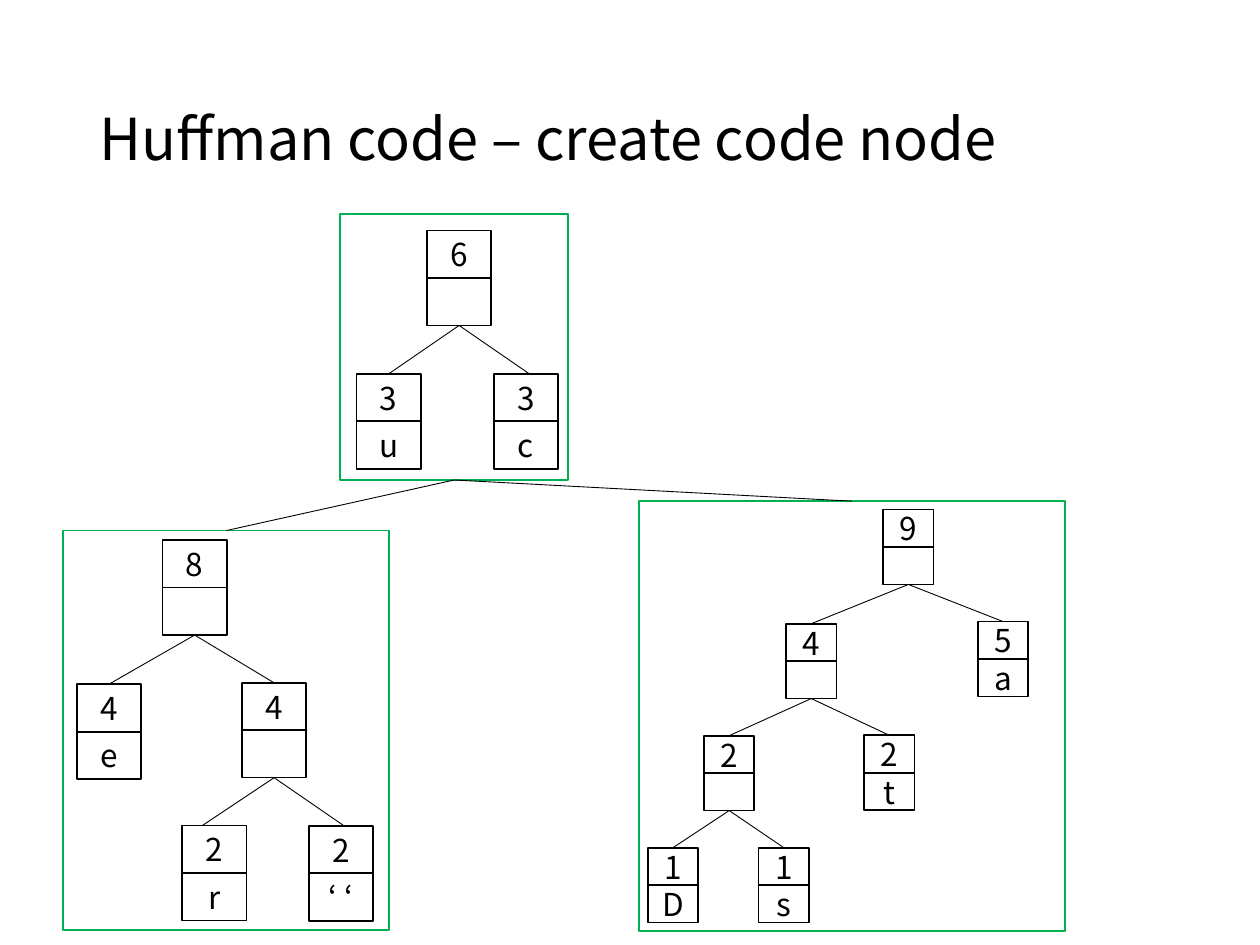
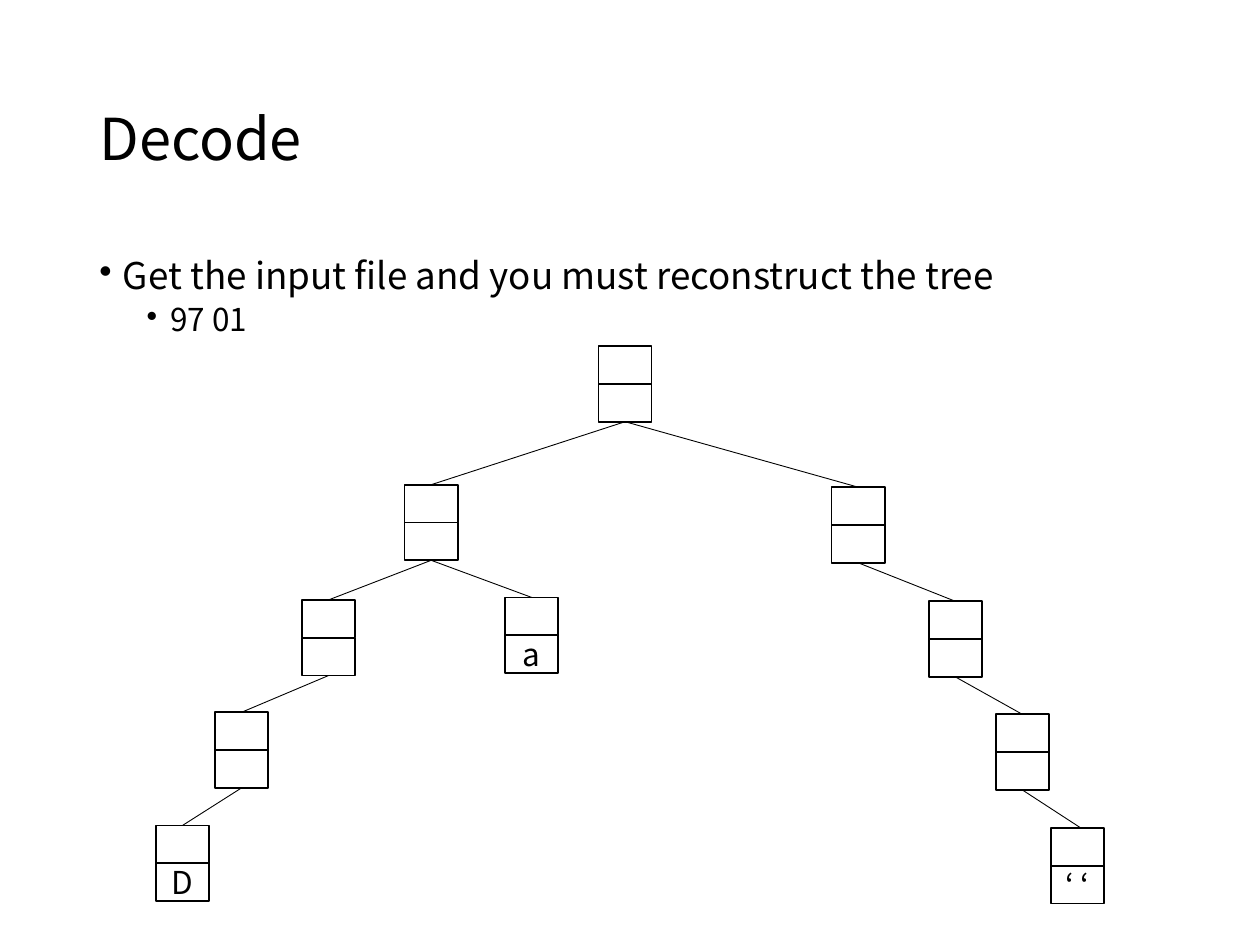
import dataclasses

import lxml.etree
import pptx
import pptx.dml.color
import pptx.enum.shapes
import pptx.enum.text
import pptx.oxml.ns
import pptx.util

Pt = pptx.util.Pt
CENTER = pptx.enum.text.PP_ALIGN.CENTER
MIDDLE = pptx.enum.text.MSO_ANCHOR.MIDDLE
RECTANGLE = pptx.enum.shapes.MSO_SHAPE.RECTANGLE
STRAIGHT = pptx.enum.shapes.MSO_CONNECTOR.STRAIGHT


@dataclasses.dataclass
class Node:
    """Tree node: left, top, upper cell, lower cell; entry shifts the incoming edge."""
    left: float
    top: float
    weight: str = ""
    symbol: str = ""
    children: tuple = ()
    entry: float = 0


# Content
CODE_TITLE = "Huffman code – create code node"
DECODE_TITLE = "Decode"
DECODE_BULLETS = [(0, "Get the input file and you must reconstruct the tree"), (1, "97 01")]

# Each entry: frame (left, top, width, height), cell (width, height), root.
# The first frame is the parent of the others.
CODE_TREES = [
    ((194.4, 122.4, 130.3, 151.9), (36.7, 27.1), Node(244, 131.8, "6", "", (
        Node(203.7, 213.7, "3", "u"),
        Node(282.2, 213.7, "3", "c", entry=2),
    ))),
    ((36, 303.2, 186.5, 228.2), (36.7, 27.1), Node(92.9, 308.7, "8", "", (
        Node(43.9, 391, "4", "e"),
        Node(138.3, 390.2, "4", "", (
            Node(104.2, 471.8, "2", "r", entry=-7),
            Node(176.4, 472, "2", "‘ ‘", entry=2),
        )),
    ))),
    ((365, 286.4, 243.4, 245.6), (28.8, 21.4), Node(504.7, 291.2, "9", "", (
        Node(449.2, 356.4, "4", "", (
            Node(402.3, 420.4, "2", "", (
                Node(370.2, 484.4, "1", "D"),
                Node(433.5, 484.4, "1", "s"),
            )),
            Node(493.8, 420.2, "2", "t"),
        )),
        Node(558.8, 355.2, "5", "a"),
    ))),
]

DECODE_CELL = (30.4, 21.6)
DECODE_TREE = Node(342, 197.8, children=(
    Node(231.2, 277, children=(
        Node(172.6, 342.8, children=(
            Node(122.9, 407, children=(Node(89.1, 471.7, symbol="D"),)),
        )),
        Node(288.6, 341.4, symbol="a"),
    )),
    Node(475.2, 278.4, children=(
        Node(530.7, 343.6, children=(
            Node(569, 408.2, children=(Node(600.5, 473.2, symbol="‘ ‘", entry=2),)),
        )),
    )),
))


@dataclasses.dataclass(frozen=True)
class Theme:
    font: str = "Noto Sans CJK KR"
    ink: str = "000000"
    paper: str = "FFFFFF"
    frame: str = "00B050"
    title_size: float = 33
    bullet_sizes: tuple = (21, 18)
    cell_size: float = 18
    outline: float = 1
    edge: float = 0.5
    line_spacing: float = 0.9


THEME = Theme()
TITLE_BOX = (49.7, 28.8, 620.6, 104.4)
BODY_BOX = (49.7, 144, 620.6, 342.7)
BULLET_INDENT = 13.5
BULLET_STEP = 27
BULLET_GAP = 3.8


def color(value):
    return pptx.dml.color.RGBColor.from_string(value)


def set_all(target, formats):
    for name, value in formats.items():
        setattr(target, name, value)


def style_font(paragraph, size):
    set_all(paragraph.font, {"name": THEME.font, "size": Pt(size)})
    paragraph.font.color.rgb = color(THEME.ink)


def add_text_box(slide, box):
    frame = slide.shapes.add_textbox(*map(Pt, box)).text_frame
    frame.word_wrap = True
    return frame


def add_title(slide, text):
    frame = add_text_box(slide, TITLE_BOX)
    frame.vertical_anchor = MIDDLE
    paragraph = frame.paragraphs[0]
    set_all(paragraph, {"text": text, "line_spacing": THEME.line_spacing})
    style_font(paragraph, THEME.title_size)


def add_bullets(slide, bullets):
    frame = add_text_box(slide, BODY_BOX)
    for index, (level, text) in enumerate(bullets):
        paragraph = frame.add_paragraph() if index else frame.paragraphs[0]
        set_all(paragraph, {"text": text, "level": level, "line_spacing": THEME.line_spacing,
                            "space_before": Pt(BULLET_GAP if index else 0)})
        properties = paragraph._p.get_or_add_pPr()
        properties.set("marL", str(Pt(BULLET_INDENT + level * BULLET_STEP)))
        properties.set("indent", str(-Pt(BULLET_INDENT)))
        bullet = lxml.etree.SubElement(properties, pptx.oxml.ns.qn("a:buChar"))
        bullet.set("char", "•")
        style_font(paragraph, THEME.bullet_sizes[level])


def add_rectangle(slide, box, line, fill=None):
    shape = slide.shapes.add_shape(RECTANGLE, *map(Pt, box))
    shape.shadow.inherit = False
    if fill:
        shape.fill.solid()
        shape.fill.fore_color.rgb = color(fill)
    else:
        shape.fill.background()
    shape.line.color.rgb = color(line)
    shape.line.width = Pt(THEME.outline)
    return shape


def add_edge(slide, start, end):
    connector = slide.shapes.add_connector(STRAIGHT, *map(Pt, start + end))
    connector.line.color.rgb = color(THEME.ink)
    connector.line.width = Pt(THEME.edge)
    lxml.etree.SubElement(connector._element.spPr, pptx.oxml.ns.qn("a:effectLst"))


def add_cell(slide, box, text):
    shape = add_rectangle(slide, box, THEME.ink, THEME.paper)
    if not text:
        return
    frame = shape.text_frame
    set_all(frame, {"vertical_anchor": MIDDLE, "margin_left": 0, "margin_right": 0})
    paragraph = frame.paragraphs[0]
    set_all(paragraph, {"text": text, "alignment": CENTER})
    style_font(paragraph, THEME.cell_size)


def add_tree(slide, node, cell):
    """Draw a node as two stacked cells, then its edges and subtrees."""
    width, height = cell
    for row, text in enumerate((node.weight, node.symbol)):
        add_cell(slide, (node.left, node.top + row * height, width, height), text)
    for child in node.children:
        add_edge(slide, (node.left + width / 2, node.top + 2 * height),
                 (child.left + width / 2 + child.entry, child.top))
        add_tree(slide, child, cell)


def build_code_slide(slide):
    add_title(slide, CODE_TITLE)
    for frame, cell, root in CODE_TREES:
        add_rectangle(slide, frame, THEME.frame)
        add_tree(slide, root, cell)
    (left, top, width, height), *child_frames = [frame for frame, _, _ in CODE_TREES]
    for child_left, child_top, child_width, _ in child_frames:
        add_edge(slide, (left + width / 2, top + height),
                 (child_left + child_width / 2, child_top))


def build_decode_slide(slide):
    add_title(slide, DECODE_TITLE)
    add_bullets(slide, DECODE_BULLETS)
    add_tree(slide, DECODE_TREE, DECODE_CELL)


def main():
    presentation = pptx.Presentation()
    set_all(presentation, {"slide_width": Pt(720), "slide_height": Pt(540)})
    blank = presentation.slide_layouts[6]
    for build in (build_code_slide, build_decode_slide):
        build(presentation.slides.add_slide(blank))
    presentation.save("out.pptx")


if __name__ == "__main__":
    main()
